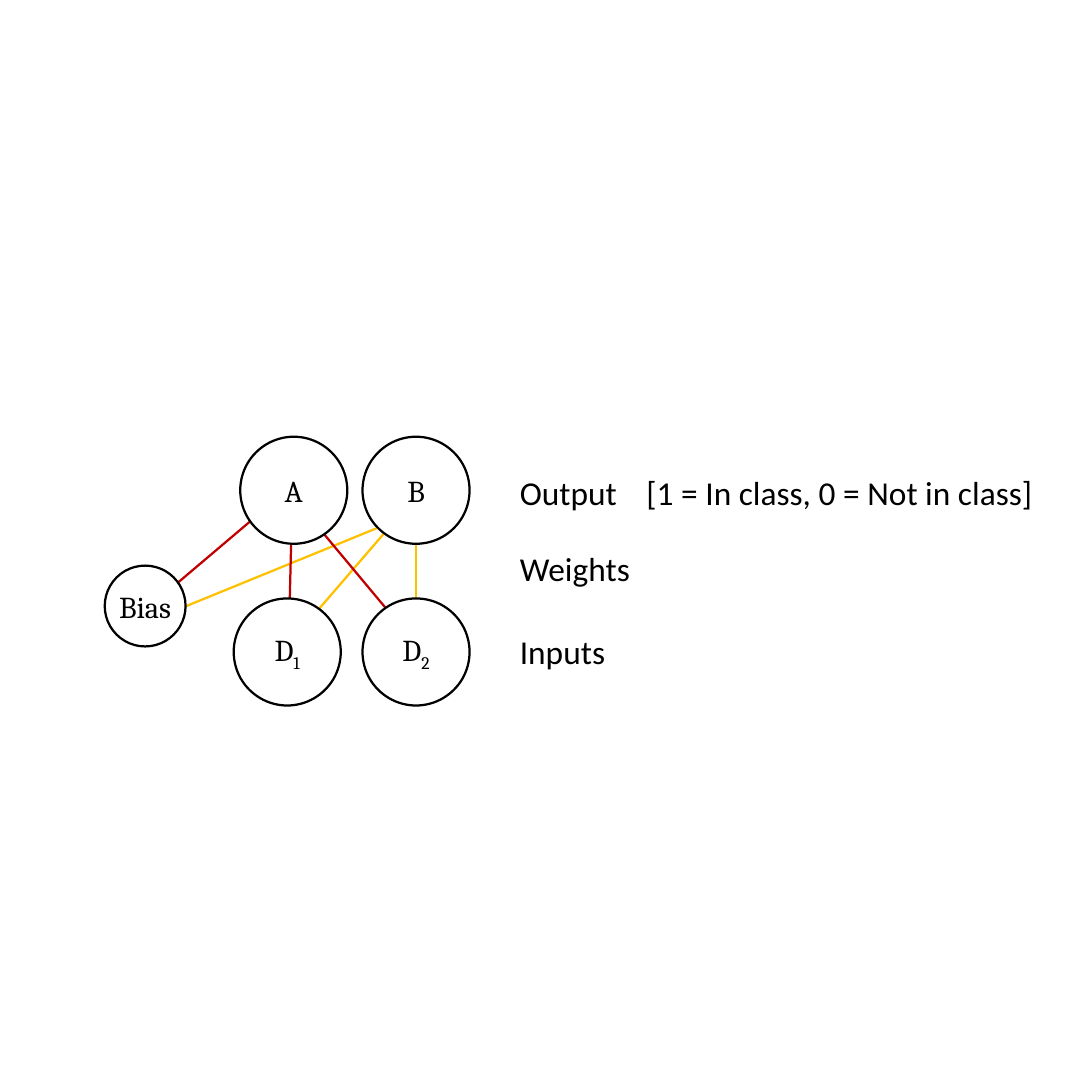
import math

import pptx
import pptx.dml.color
import pptx.enum.shapes
import pptx.enum.text
import pptx.oxml
import pptx.oxml.ns
import pptx.util

Inches = pptx.util.Inches
BLACK, WHITE, RED, AMBER = "000000", "FFFFFF", "C00000", "FFC000"
NODE_FONT = {"name": "Cambria", "size": pptx.util.Pt(10)}
LABEL_FONT = {"name": "Calibri", "size": pptx.util.Pt(11)}
NO_MARGINS = {"margin_left": 0, "margin_top": 0, "margin_right": 0,
              "margin_bottom": 0, "word_wrap": True}

# Nodes: name -> (left, top, diameter) within the network box
NODES = {
    "D1": (0.59, 0.74, 0.49),
    "D2": (1.18, 0.74, 0.49),
    "A": (0.62, 0, 0.49),
    "B": (1.18, 0, 0.49),
    "Bias": (0, 0.59, 0.37),
}
# Weights: start node, its rim angle, end node, its rim angle, colour
# (degrees anticlockwise from the right)
WEIGHTS = [
    ("Bias", 225, "B", 0, AMBER),
    ("D1", 225, "B", 45, AMBER),
    ("D2", 270, "B", 90, AMBER),
    ("Bias", 225, "A", 45, RED),
    ("D2", 315, "A", 135, RED),
    ("D1", 270, "A", 90, RED),
]
# Layer labels: text, top within the label box
LABELS = [
    ("Output\t[1 = In class, 0 = Not in class]", 0),
    ("Weights", 0.35),
    ("Inputs", 0.73),
]


def rgb(value):
    return pptx.dml.color.RGBColor.from_string(value)


def set_attrs(obj, values):
    for name, value in values.items():
        setattr(obj, name, value)


def set_line(line, colour):
    line.color.rgb = rgb(colour)
    line.width = pptx.util.Pt(0.75)


def add_run(p, text, font):
    r = p.add_run()
    r.text = text
    set_attrs(r.font, font)
    r.font.color.rgb = rgb(BLACK)
    return r


def rim_point(name, angle):
    """Point on a node's outline, within the network box."""
    left, top, size = NODES[name]
    radius, turn = size / 2, math.radians(angle)
    return (left + radius + radius * math.cos(turn),
            top + radius - radius * math.sin(turn))


def add_network(shapes, left, top):
    # Weights, behind the nodes
    for start, start_angle, end, end_angle, colour in WEIGHTS:
        x1, y1 = rim_point(start, start_angle)
        x2, y2 = rim_point(end, end_angle)
        line = shapes.add_connector(
            pptx.enum.shapes.MSO_CONNECTOR.STRAIGHT,
            Inches(left + x1), Inches(top + y1),
            Inches(left + x2), Inches(top + y2))
        set_line(line.line, colour)
        line._element.spPr.append(pptx.oxml.parse_xml(
            "<a:effectLst %s/>" % pptx.oxml.ns.nsdecls("a")))

    # Nodes, with a trailing digit as subscript
    for name, (x, y, size) in NODES.items():
        sp = shapes.add_shape(
            pptx.enum.shapes.MSO_SHAPE.OVAL,
            Inches(left + x), Inches(top + y), Inches(size), Inches(size))
        sp.shadow.inherit = False
        sp.fill.solid()
        sp.fill.fore_color.rgb = rgb(WHITE)
        set_line(sp.line, BLACK)
        tf = sp.text_frame
        set_attrs(tf, NO_MARGINS)
        tf.vertical_anchor = pptx.enum.text.MSO_ANCHOR.MIDDLE
        p = tf.paragraphs[0]
        p.alignment = pptx.enum.text.PP_ALIGN.CENTER
        letters = name.rstrip("12")
        add_run(p, letters, NODE_FONT)
        if letters != name:
            r = add_run(p, name[len(letters):], NODE_FONT)
            r._r.get_or_add_rPr().set("baseline", "-25000")


def add_labels(shapes, left, top, width):
    for text, y in LABELS:
        box = shapes.add_textbox(Inches(left), Inches(top + y),
                                 Inches(width), Inches(0.19))
        tf = box.text_frame
        set_attrs(tf, NO_MARGINS)
        tf.auto_size = pptx.enum.text.MSO_AUTO_SIZE.SHAPE_TO_FIT_TEXT
        p = tf.paragraphs[0]
        add_run(p, text, LABEL_FONT)
        if "\t" in text:
            p._p.get_or_add_pPr().append(pptx.oxml.parse_xml(
                '<a:tabLst %s><a:tab pos="%d" algn="l"/></a:tabLst>'
                % (pptx.oxml.ns.nsdecls("a"), Inches(0.58))))


def main():
    prs = pptx.Presentation()
    prs.slide_width = prs.slide_height = Inches(5)
    slide = prs.slides.add_slide(prs.slide_layouts[6])
    add_network(slide.shapes, 0.48, 2)
    add_labels(slide.shapes, 2.38, 2.16, 2.62)
    prs.save("out.pptx")


if __name__ == "__main__":
    main()
